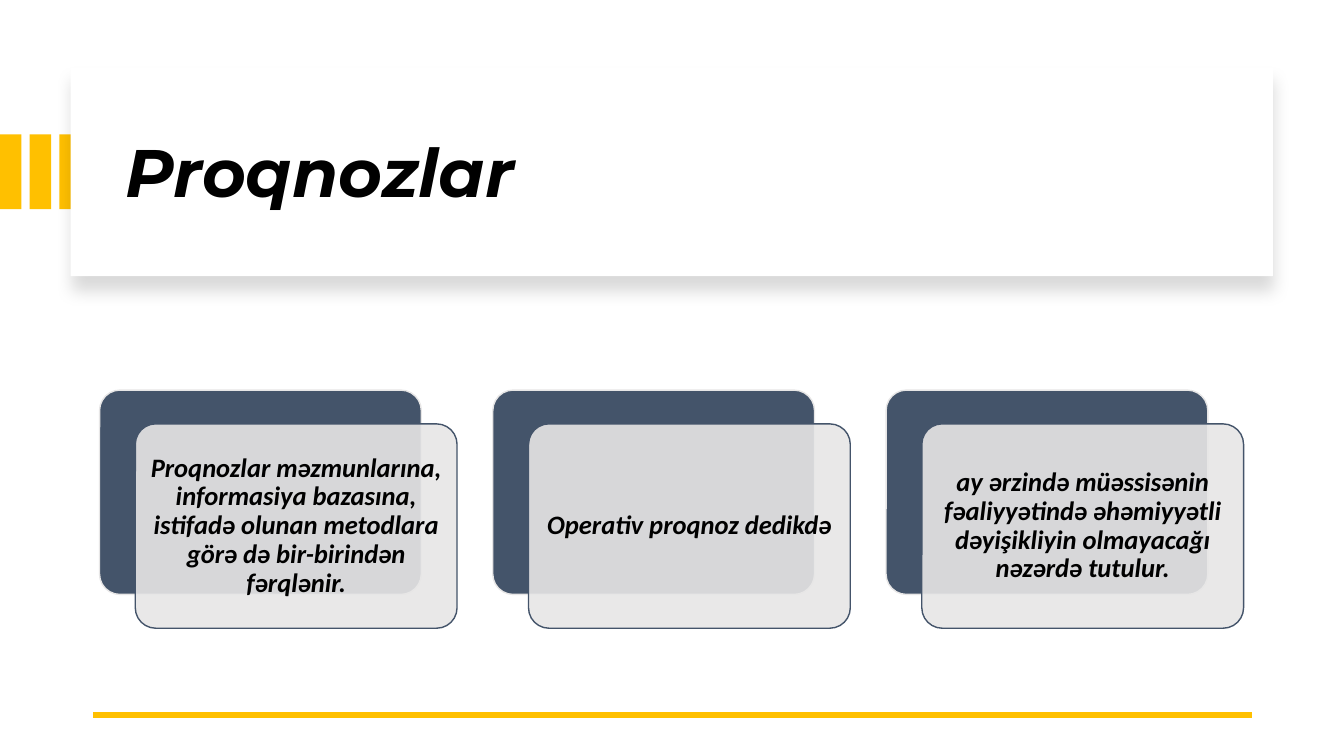
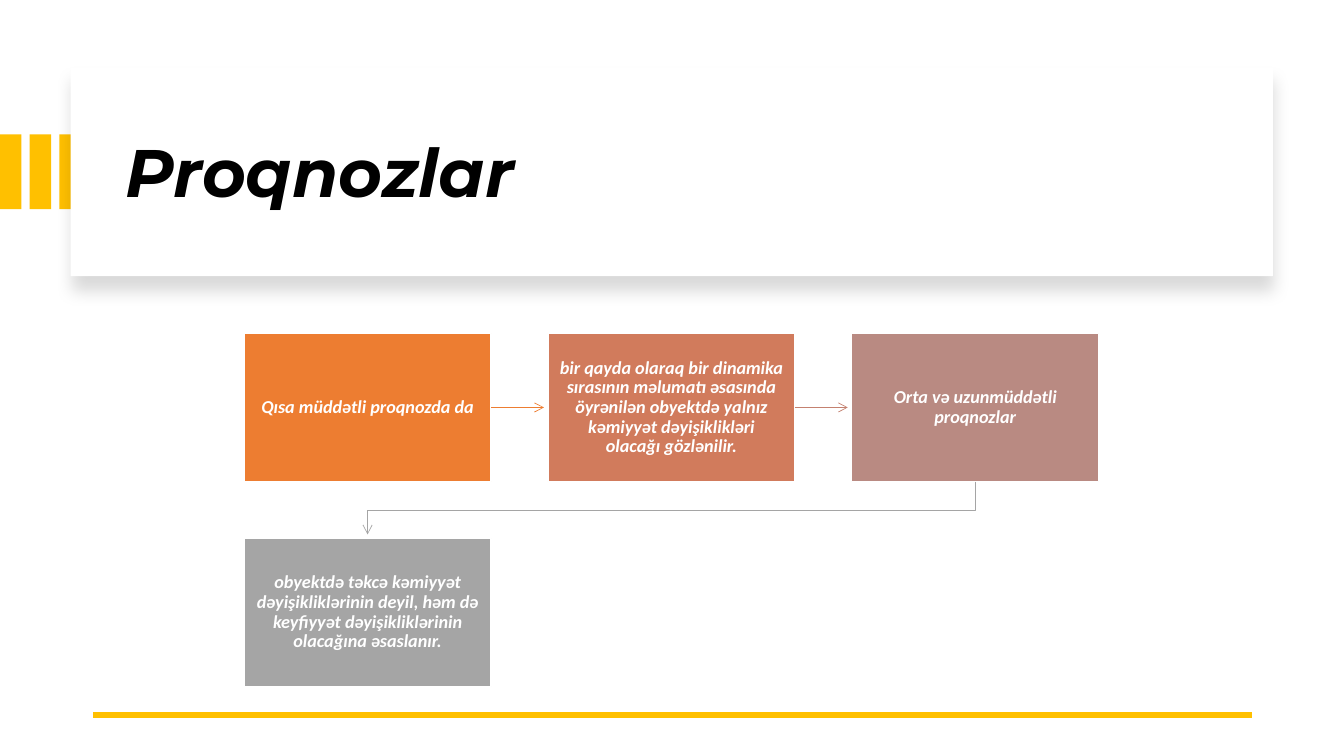
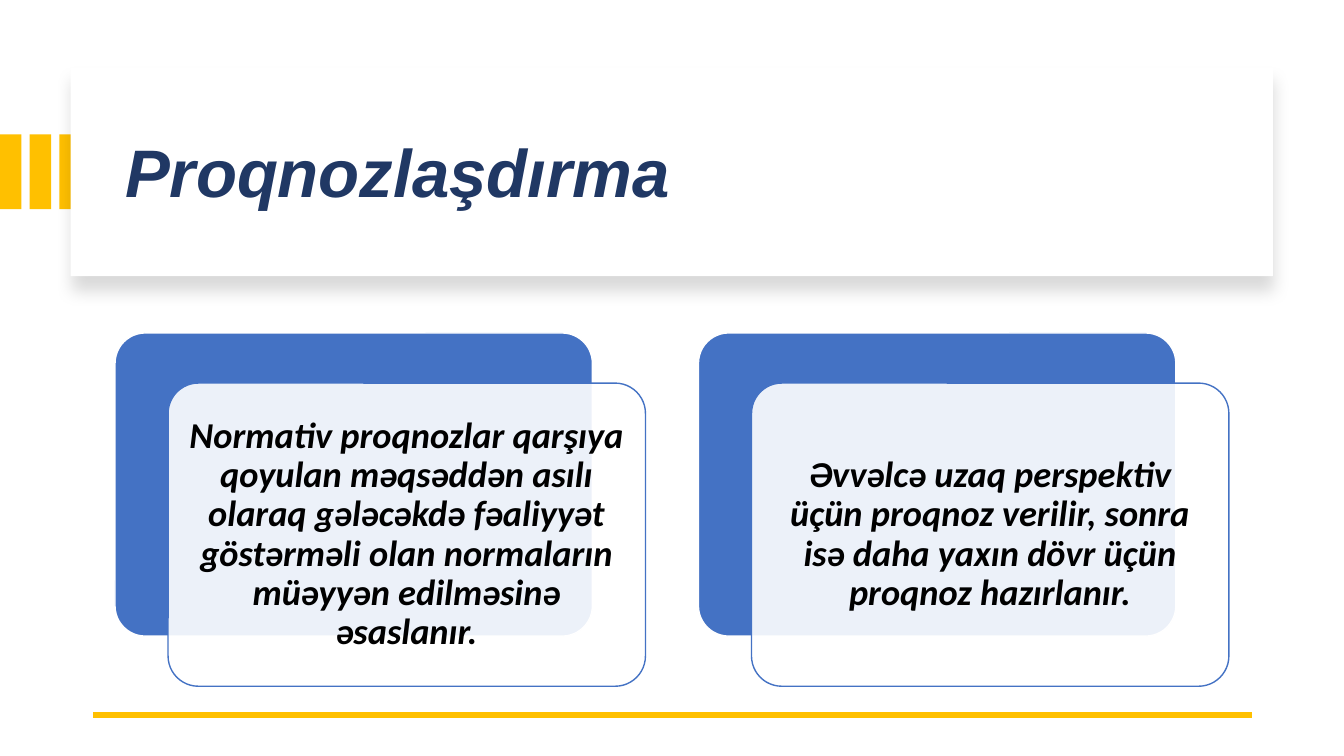
"""Build three slides on kinds of forecast."""
from dataclasses import dataclass

from lxml import etree
from pptx import Presentation
from pptx import util as u
from pptx.dml import color
from pptx.enum import shapes, text
from pptx.oxml import ns


@dataclass(frozen=True)
class Theme:
    """Colours, fonts and type sizes of the deck."""
    gold: str = "FFC000"
    white: str = "FFFFFF"
    black: str = "000000"
    navy: str = "203864"
    slate: str = "44546A"
    mist: str = "E7E6E6"
    blue: str = "4472C4"
    steps: tuple = ("ED7D31", "D17B5C", "B98A82", "A5A5A5")
    links: tuple = ("ED7D31", "C48170", "A5A5A5")
    head: str = "Montserrat"
    plain: str = "Arial"
    body: str = "Calibri"
    title: int = 48
    large: int = 26
    mid: int = 19
    small: int = 13


T = Theme()


def rgb(code):
    """Turn a hex code into a colour."""
    return color.RGBColor.from_string(code)


def node(root, tag, **attrs):
    """Add a drawing element to a parent and return it."""
    return etree.SubElement(root, ns.qn(tag), attrs)


def write(shape, words, size, tint, font=T.body, align=text.PP_ALIGN.CENTER, pad=None):
    """Put bold italic text in a shape, centred from top to bottom."""
    frame = shape.text_frame
    frame.word_wrap = True
    frame.auto_size = text.MSO_AUTO_SIZE.NONE
    frame.vertical_anchor = text.MSO_ANCHOR.MIDDLE
    if pad is not None:
        frame.margin_left = frame.margin_right = u.Cm(pad)
        frame.margin_top = frame.margin_bottom = u.Cm(pad)
    para = frame.paragraphs[0]
    para.alignment = align
    para.line_spacing = 0.9
    run = para.add_run()
    run.text = words
    face = run.font
    face.name, face.size, face.bold, face.italic = font, u.Pt(size), True, True
    face.color.rgb = rgb(tint)


def block(slide, box, fill, edge=None, round_=False, alpha=None):
    """Draw a filled box, square or rounded."""
    kinds = shapes.MSO_SHAPE
    kind = kinds.ROUNDED_RECTANGLE if round_ else kinds.RECTANGLE
    shape = slide.shapes.add_shape(kind, *map(u.Cm, box))
    shape.shadow.inherit = False
    shape.fill.solid()
    shape.fill.fore_color.rgb = rgb(fill)
    if round_:
        shape.adjustments[0] = 0.1
    if alpha:
        paint = shape.element.spPr.find(ns.qn("a:solidFill"))[0]
        node(paint, "a:alpha", val=str(alpha * 1000))
    if edge:
        shape.line.color.rgb = rgb(edge)
        shape.line.width = u.Pt(1)
    else:
        shape.line.fill.background()
    return shape


def rule(slide, start, end, tint, width):
    """Draw a straight line without a shadow."""
    line = slide.shapes.add_connector(
        shapes.MSO_CONNECTOR.STRAIGHT, *map(u.Cm, (*start, *end)))
    line.line.color.rgb = rgb(tint)
    line.line.width = u.Pt(width)
    node(line.element.spPr, "a:effectLst")
    return line


def bend(slide, points, tint, width):
    """Draw an open line through several points."""
    first, *rest = [tuple(map(u.Cm, point)) for point in points]
    pen = slide.shapes.build_freeform(*first)
    pen.add_line_segments(rest, close=False)
    line = pen.convert_to_shape()
    line.shadow.inherit = False
    line.fill.background()
    line.line.color.rgb = rgb(tint)
    line.line.width = u.Pt(width)
    return line


def point(line):
    """Give a line an open arrowhead at its end."""
    node(line.element.spPr.find(ns.qn("a:ln")), "a:tailEnd", type="arrow")


def cast(panel):
    """Give the title panel a soft shadow below."""
    effect = panel.element.spPr.find(ns.qn("a:effectLst"))
    shade = node(effect, "a:outerShdw", blurRad=str(u.Pt(11)),
                 dist=str(u.Pt(10)), dir="5400000", algn="t", rotWithShape="0")
    node(node(shade, "a:srgbClr", val=T.black), "a:alpha", val="15000")


def frame(deck, words, font=T.head, tint=T.black):
    """Add a slide with its bars, title panel and foot line."""
    slide = deck.slides.add_slide(deck.slide_layouts[5])
    for i in range(3):
        block(slide, (0.75 * i, 3.39, 0.54, 1.88), T.gold)
    cast(block(slide, (1.78, 1.7, 30.3, 5.26), T.white))
    title = slide.shapes.title
    title.left, title.top = u.Cm(2.9), u.Cm(2.26)
    title.width, title.height = u.Cm(28.27), u.Cm(4.32)
    write(title, words, T.title, tint, font, text.PP_ALIGN.LEFT)
    title.element.getparent().append(title.element)
    rule(slide, (31.55, 18.01), (2.34, 18.01), T.gold, 4.5)
    return slide


def cards(slide, box, words, size, back, glass, rim, pad):
    """Fill a box with a row of cards, each over a dark back."""
    left, top, width = box
    wide = width * 9 / (11 * len(words) - 1)
    high = wide * 0.635
    for i, line in enumerate(words):
        x = left + i * wide * 11 / 9
        block(slide, (x, top, wide, high), back, rim, round_=True)
        spot = (x + wide / 9, top + wide * 0.105, wide, high)
        card = block(slide, spot, glass, back, round_=True, alpha=90)
        write(card, line, size, T.black, pad=pad)


def flow(slide, box, words, cols=3):
    """Fill a box with steps in rows, joined by arrows."""
    left, top, width = box
    wide = width / (cols + 0.23 * (cols - 1))
    high, gap = wide * 0.6, wide * 0.23
    reach = gap - 0.1
    for i, line in enumerate(words):
        row, col = divmod(i, cols)
        x, y = left + col * (wide + gap), top + row * (high + gap)
        step = block(slide, (x, y, wide, high), T.steps[i], T.white)
        write(step, line, T.small, T.white, pad=0.3)
        if i == len(words) - 1:
            continue
        if col < cols - 1:
            mid, edge = y + high / 2, x + wide
            link = rule(slide, (edge, mid), (edge + reach, mid), T.links[i], 0.5)
        else:
            mid, home, base = x + wide / 2, left + wide / 2, y + high
            turn = base + gap / 2
            link = bend(slide, [(mid, base), (mid, turn), (home, turn),
                                (home, base + reach)], T.links[i], 0.5)
        point(link)


def main():
    """Build the deck and save it."""
    deck = Presentation()
    deck.slide_width, deck.slide_height = u.Cm(33.87), u.Cm(19.05)
    cards(frame(deck, "Proqnozlar"), (2.51, 9.83, 28.83), [
        "Proqnozlar məzmunlarına, informasiya bazasına, istifadə olunan "
        "metodlara görə də bir-birindən fərqlənir.",
        "Operativ proqnoz dedikdə",
        "ay ərzində müəssisənin fəaliyyətində əhəmiyyətli dəyişikliyin "
        "olmayacağı nəzərdə tutulur.",
    ], T.mid, T.slate, T.mist, T.mist, 0.19)
    flow(frame(deck, "Proqnozlar"), (6.15, 8.4, 21.54), [
        "Qısa müddətli proqnozda da",
        "bir qayda olaraq bir dinamika sırasının məlumatı əsasında öyrənilən "
        "obyektdə yalnız kəmiyyət dəyişiklikləri olacağı gözlənilir.",
        "Orta və uzunmüddətli proqnozlar",
        "obyektdə təkcə kəmiyyət dəyişikliklərinin deyil, həm də keyfiyyət "
        "dəyişikliklərinin olacağına əsaslanır.",
    ])
    cards(frame(deck, "Proqnozlaşdırma", T.plain, T.navy), (2.9, 8.39, 28.07), [
        "Normativ proqnozlar qarşıya qoyulan məqsəddən asılı olaraq gələcəkdə "
        "fəaliyyət göstərməli olan normaların müəyyən edilməsinə əsaslanır.",
        "Əvvəlcə uzaq perspektiv üçün proqnoz verilir, sonra isə daha yaxın "
        "dövr üçün proqnoz hazırlanır.",
    ], T.large, T.blue, T.white, T.white, 0.27)
    deck.save("out.pptx")


if __name__ == "__main__":
    main()
